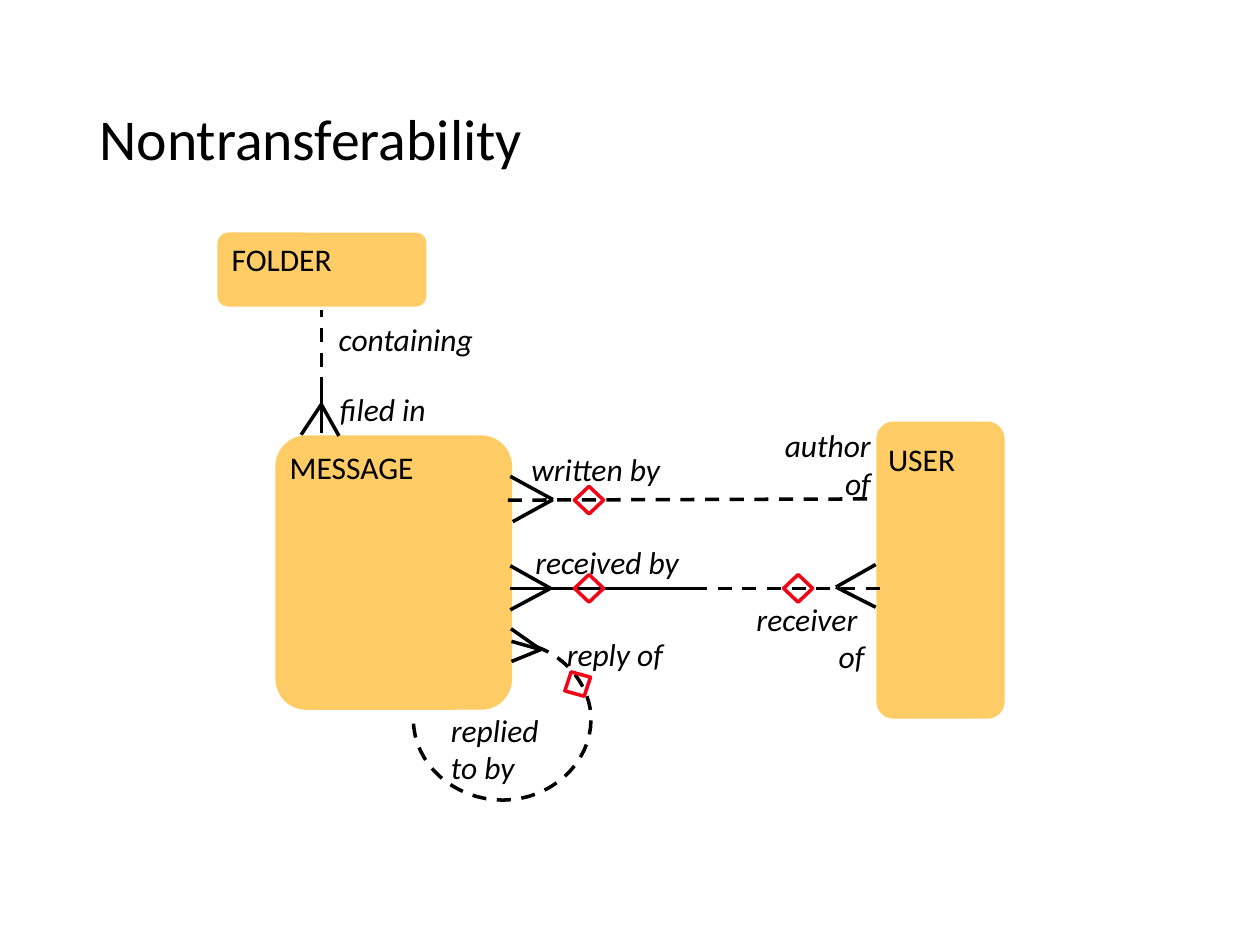
"""Build the Nontransferability entity relationship slide."""
from lxml import etree
from pptx import Presentation
from pptx.dml.color import RGBColor
from pptx.enum.dml import MSO_LINE
from pptx.enum.shapes import MSO_CONNECTOR, MSO_SHAPE
from pptx.enum.text import MSO_ANCHOR, PP_ALIGN
from pptx.oxml.ns import qn
from pptx.util import Pt

BLACK = RGBColor(0x00, 0x00, 0x00)
ENTITY_FILL = RGBColor(0xFF, 0xCC, 0x66)
ENTITY_EDGE = RGBColor(0xFF, 0xCB, 0x65)
RED = RGBColor(0xF1, 0x04, 0x15)
DASH = MSO_LINE.DASH
STRAIGHT = MSO_CONNECTOR.STRAIGHT
ROUNDED, DIAMOND = MSO_SHAPE.ROUNDED_RECTANGLE, MSO_SHAPE.DIAMOND
TOP, MIDDLE = MSO_ANCHOR.TOP, MSO_ANCHOR.MIDDLE
LEFT, RIGHT = PP_ALIGN.LEFT, PP_ALIGN.RIGHT

FONT = "Calibri"
LINE_WIDTH = 2
ONE_LINE, TWO_LINES = 28.8, 50.4
DIAMOND_SIZE = (16.6, 15.8)
CURVE_STEPS = 16

TITLE = ("Nontransferability", (49.7, 28.8, 620.6, 104.4))
ENTITIES = [
    ("USER", (501.8, 241.9, 71.3, 167.8), (500.4, 247.7, 72)),
    ("MESSAGE", (158.4, 249.8, 133.2, 154.8), (158.4, 252.7, 123.8)),
    ("FOLDER", (125.3, 133.9, 117.4, 40.3), (125.3, 133.9, 117.4)),
]
ROLES = [
    ("written by", (296.6, 253.4, 122.4, ONE_LINE), LEFT),
    ("author of", (426.2, 239.8, 78.5, TWO_LINES), RIGHT),
    ("reply of", (316.8, 359.3, 88.6, ONE_LINE), LEFT),
    ("replied to by", (250.6, 402.5, 77, TWO_LINES), LEFT),
    ("filed in", (187.2, 219.6, 122.4, ONE_LINE), LEFT),
    ("containing", (186.5, 179.3, 122.4, ONE_LINE), LEFT),
    ("received by", (298.8, 306.7, 122.4, ONE_LINE), LEFT),
    ("receiver \vof", (378.7, 339.1, 122.4, TWO_LINES), RIGHT),
]
OPTIONAL_ENDS = [
    ((290.2, 285.8), (500.4, 285.1)),
    ((396, 336.2), (502.6, 336.2)),
    ((183.6, 209.5), (183.6, 177.1)),
]
MANDATORY_ENDS = [
    ((291.6, 336.2), (398.2, 336.2)),
    ((183.6, 247.7), (183.6, 215.3)),
]
CROW_FEET = [
    ((316, 285.5), [(291.6, 272.2), (293, 298.1)]),
    ((314.6, 336.2), [(291.6, 323.3), (291.6, 348.5)]),
    ((477.7, 335.5), [(500.4, 322.6), (500.4, 347)]),
    ((183.6, 231.1), [(172.1, 248.4), (193.7, 249.1)]),
    ((309, 371.2), [(292, 359.3), (292.3, 378), (292.3, 366.5)]),
]
REPLY_START = (306, 369.4)
REPLY_CURVES = [
    ((324.7, 375.8), (337.7, 393.1), (337.7, 411.1)),
    ((337.7, 436.3), (314.6, 457.2), (287.3, 457.2)),
    ((259.2, 457.2), (236.2, 436.3), (236.2, 411.1)),
]
NONTRANSFERABLE = [
    (328.3, 277.9, 0),
    (328.3, 328.3, 0),
    (447.8, 328.3, 0),
    (321.8, 383, 332),
]

deck = Presentation()
deck.slide_width, deck.slide_height = Pt(720), Pt(540)
slide = deck.slides.add_slide(deck.slide_layouts[6])
shapes = slide.shapes


def points(values):
    return [Pt(value) for value in values]


def add_text(text, box, size=18, italic=False, align=LEFT, anchor=TOP, spacing=1.0):
    label = shapes.add_textbox(*points(box))
    frame = label.text_frame
    frame.word_wrap = True
    frame.vertical_anchor = anchor
    paragraph = frame.paragraphs[0]
    paragraph.text = text
    paragraph.alignment = align
    paragraph.line_spacing = spacing
    for run in paragraph.runs:
        run.font.name = FONT
        run.font.size = Pt(size)
        run.font.italic = italic
        run.font.color.rgb = BLACK


def style_line(line, color=BLACK, dash=None):
    line.color.rgb = color
    line.width = Pt(LINE_WIDTH)
    if dash:
        line.dash_style = dash


def add_line(start, end, dash=None):
    connector = shapes.add_connector(STRAIGHT, *points(start + end))
    style_line(connector.line, dash=dash)
    etree.SubElement(connector._element.spPr, qn("a:effectLst"))


def add_outline(kind, box, color):
    shape = shapes.add_shape(kind, *points(box))
    shape.shadow.inherit = False
    shape.fill.background()
    style_line(shape.line, color)
    return shape


def curve_points(start, curves):
    for first, second, end in curves:
        for step in range(1, CURVE_STEPS + 1):
            t = step / CURVE_STEPS
            weights = ((1 - t) ** 3, 3 * t * (1 - t) ** 2, 3 * t * t * (1 - t), t ** 3)
            corners = (start, first, second, end)
            yield tuple(
                Pt(sum(w * corner[axis] for w, corner in zip(weights, corners)))
                for axis in (0, 1)
            )
        start = end


builder = shapes.build_freeform(*points(REPLY_START))
builder.add_line_segments(list(curve_points(REPLY_START, REPLY_CURVES)), close=False)
reply_loop = builder.convert_to_shape()
reply_loop.shadow.inherit = False
reply_loop.fill.background()
style_line(reply_loop.line, dash=DASH)

add_text(*TITLE, size=33, anchor=MIDDLE, spacing=0.9)

for name, box, (left, top, width) in ENTITIES:
    entity = add_outline(ROUNDED, box, ENTITY_EDGE)
    entity.adjustments[0] = 0.125
    entity.fill.solid()
    entity.fill.fore_color.rgb = ENTITY_FILL
    add_text(name, (left, top, width, ONE_LINE))

for start, end in OPTIONAL_ENDS:
    add_line(start, end, DASH)
for start, end in MANDATORY_ENDS:
    add_line(start, end)
for joint, toes in CROW_FEET:
    for toe in toes:
        add_line(toe, joint)

for role, box, align in ROLES:
    add_text(role, box, italic=True, align=align)

for left, top, angle in NONTRANSFERABLE:
    add_outline(DIAMOND, (left, top) + DIAMOND_SIZE, RED).rotation = angle

deck.save("out.pptx")
